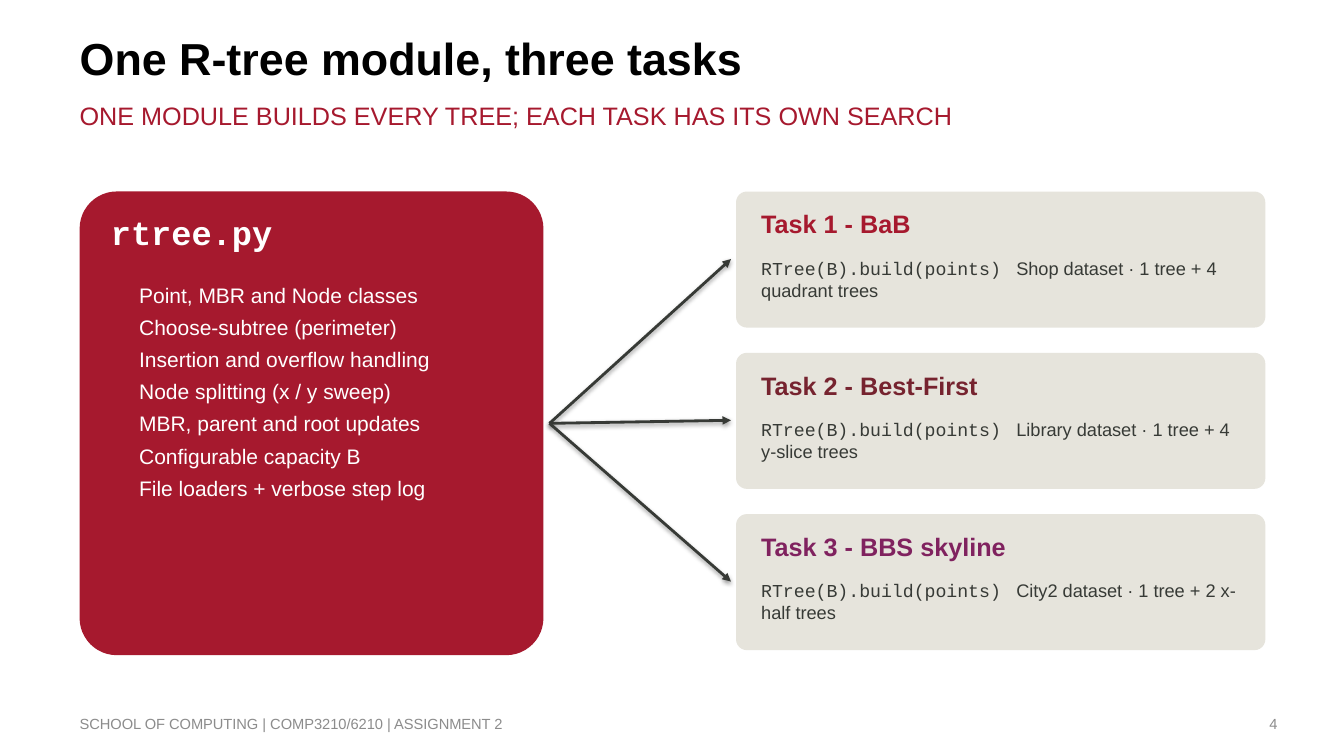
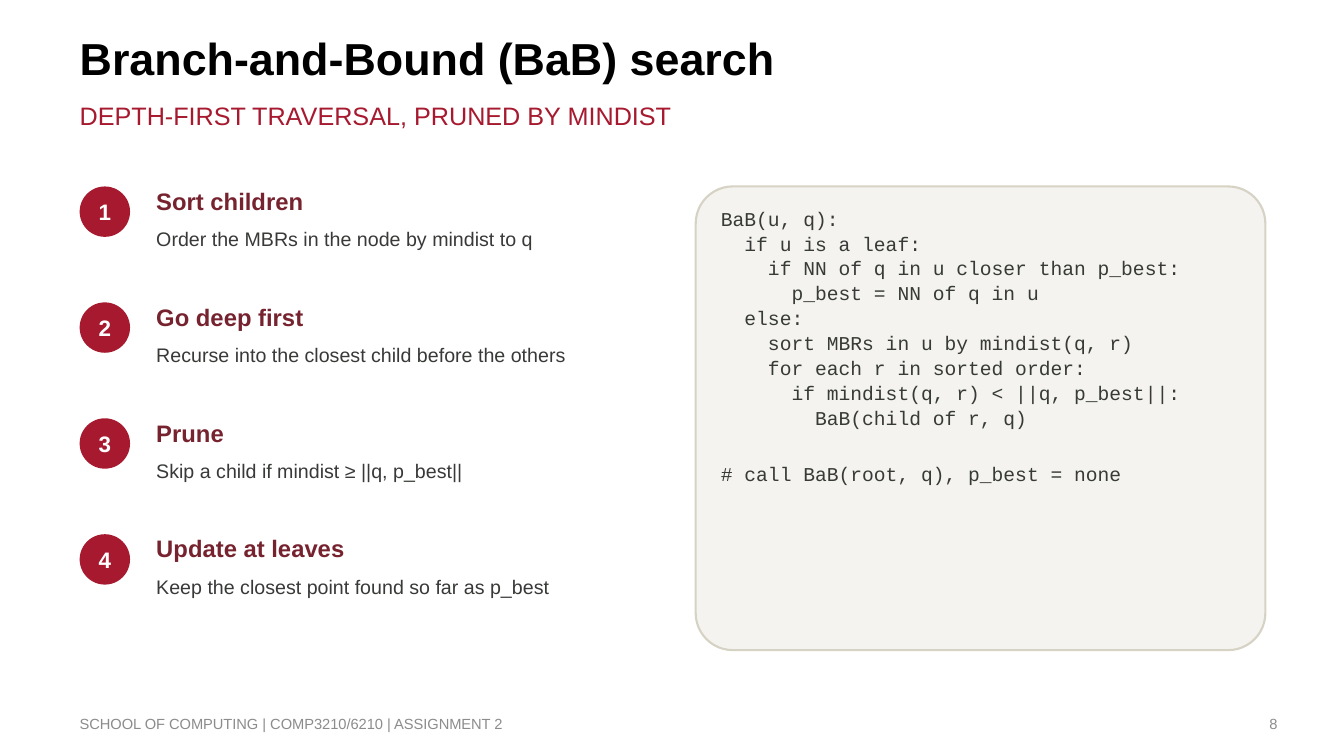
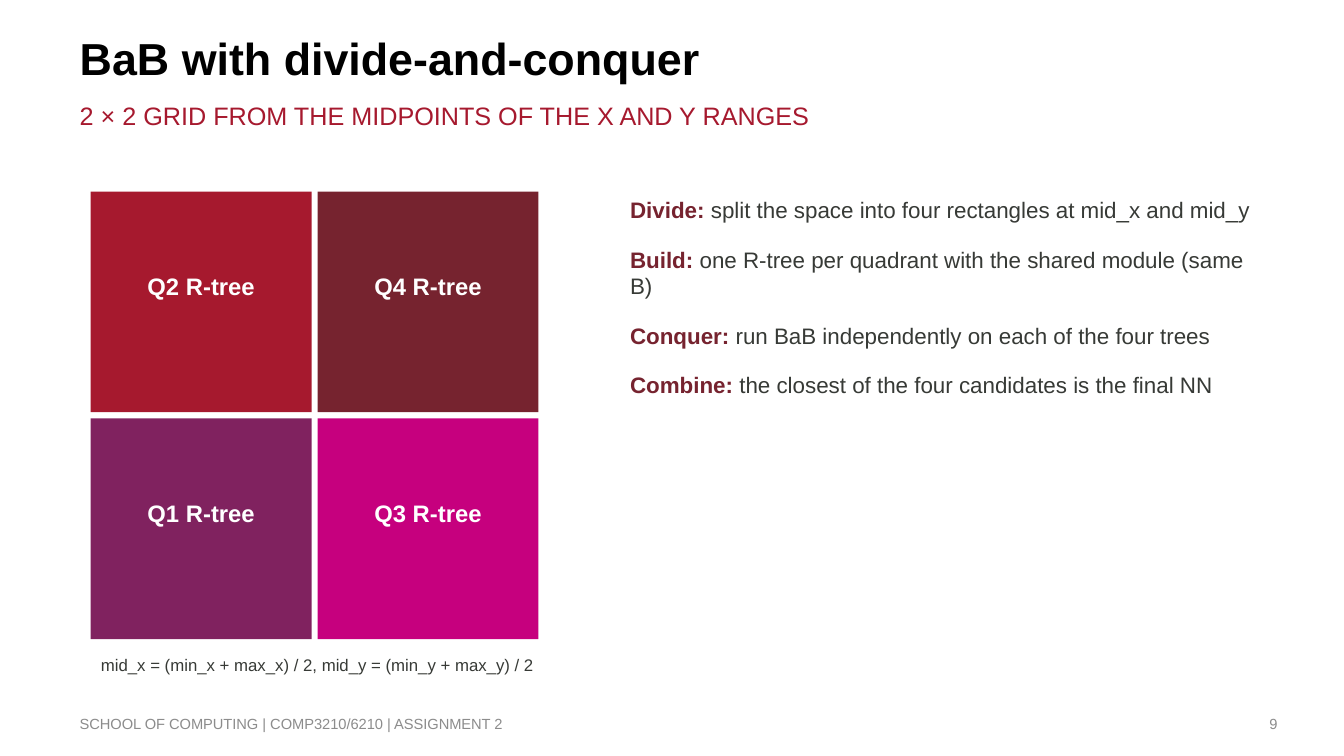
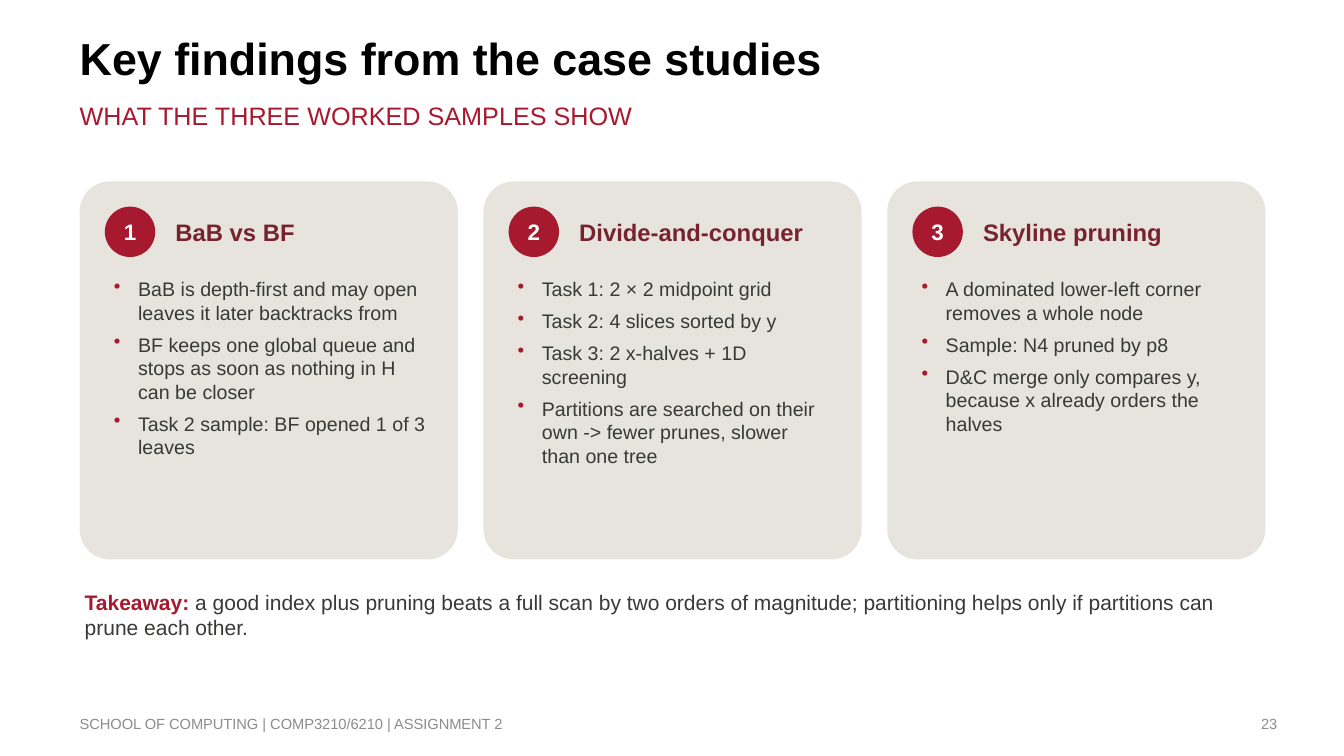
from lxml import etree
from pptx import Presentation
from pptx import util as u
from pptx.dml.color import RGBColor
from pptx.enum import shapes, text
from pptx.oxml.ns import qn

COLORS = {
    "red": "A6192E", "maroon": "76232F", "purple": "80225F", "magenta": "C6007E",
    "sand": "E6E4DC", "paper": "F4F3EF", "edge": "D6D2C4",
    "ink": "373A36", "gray": "8C8C8C", "black": "000000", "white": "FFFFFF",
}
SANS, MONO = "Arial", "Courier New"
LEFT, WIDTH = 0.79, 11.76
ROUND, OVAL = shapes.MSO_SHAPE.ROUNDED_RECTANGLE, shapes.MSO_SHAPE.OVAL
TOP, MIDDLE = text.MSO_ANCHOR.TOP, text.MSO_ANCHOR.MIDDLE
START, CENTER, END = text.PP_ALIGN.LEFT, text.PP_ALIGN.CENTER, text.PP_ALIGN.RIGHT


def add_box(page, at, kind=None, fill=None):
    """Add a text box, or a filled shape when a kind is given."""
    place = [u.Inches(length) for length in at]
    if kind is None:
        return page.shapes.add_textbox(*place)
    box = page.shapes.add_shape(kind, *place)
    box.shadow.inherit = False
    box.fill.solid()
    box.fill.fore_color.rgb = RGBColor.from_string(COLORS[fill])
    box.line.fill.background()
    if kind == ROUND:
        box.adjustments[0] = 0.08
    return box


def write(box, lines, size, color="ink", bold=False, font=SANS, align=START,
          anchor=TOP, inset=0.05, after=6, bullet=False, tab=None):
    """Fill a box; a line is a string or a list of (text, changed style) runs."""
    frame = box.text_frame
    frame.word_wrap = True
    frame.auto_size = text.MSO_AUTO_SIZE.NONE
    frame.vertical_anchor = anchor
    frame.margin_left = frame.margin_right = u.Inches(inset)
    frame.margin_top = frame.margin_bottom = u.Inches(inset)
    for index, line in enumerate(lines):
        para = frame.add_paragraph() if index else frame.paragraphs[0]
        para.alignment = align
        para.space_after = u.Pt(after)
        props = para._p.get_or_add_pPr()
        if bullet:
            props.set("marL", str(u.Inches(0.28)))
            props.set("indent", str(u.Inches(-0.24)))
            tint = etree.SubElement(props, qn("a:buClr"))
            etree.SubElement(tint, qn("a:srgbClr"), val=COLORS["red"])
            etree.SubElement(props, qn("a:buChar"), char="•")
        if tab:
            stops = etree.SubElement(props, qn("a:tabLst"))
            etree.SubElement(stops, qn("a:tab"), pos=str(u.Inches(tab)), algn="l")
        for words, change in ([(line, {})] if isinstance(line, str) else line):
            style = {"color": color, "bold": bold, "font": font} | change
            span = para.add_run()
            span.text = words
            span.font.size = u.Pt(size)
            span.font.name = style["font"]
            span.font.bold = style["bold"]
            span.font.color.rgb = RGBColor.from_string(COLORS[style["color"]])


deck = Presentation()
deck.slide_width, deck.slide_height = u.Inches(13.33), u.Inches(7.5)

# Title, subtitle and footer of every page
headings = [
    ("One R-tree module, three tasks",
     "ONE MODULE BUILDS EVERY TREE; EACH TASK HAS ITS OWN SEARCH", "4"),
    ("Branch-and-Bound (BaB) search", "DEPTH-FIRST TRAVERSAL, PRUNED BY MINDIST", "8"),
    ("BaB with divide-and-conquer",
     "2 × 2 GRID FROM THE MIDPOINTS OF THE X AND Y RANGES", "9"),
    ("Key findings from the case studies", "WHAT THE THREE WORKED SAMPLES SHOW", "23"),
]
pages = []
for heading, subtitle, number in headings:
    page = deck.slides.add_slide(deck.slide_layouts[5])
    title = page.shapes.title
    title.left, title.top = u.Inches(LEFT), u.Inches(0.3)
    title.width, title.height = u.Inches(9.25), u.Inches(0.71)
    write(title, [heading], 32, "black", bold=True, inset=0, after=0)
    write(add_box(page, (LEFT, 0.99, 9.34, 0.49)), [subtitle], 18, "red", inset=0, after=0)
    write(add_box(page, (LEFT, 6.98, 5.88, 0.4)),
          ["SCHOOL OF COMPUTING | COMP3210/6210 | ASSIGNMENT 2"],
          10.5, "gray", anchor=MIDDLE, inset=0, after=0)
    write(add_box(page, (9.56, 6.98, 3.11, 0.4)), [number],
          10.5, "gray", align=END, anchor=MIDDLE, inset=0, after=0)
    pages.append(page)
module_page, search_page, grid_page, findings_page = pages

# One module feeding three tasks
add_box(module_page, (LEFT, 1.9, 4.6, 4.6), ROUND, "red")
write(add_box(module_page, (1.05, 2.05, 4.1, 0.6)), ["rtree.py"], 24, "white",
      bold=True, font=MONO)
features = [
    "Point, MBR and Node classes",
    "Choose-subtree (perimeter)",
    "Insertion and overflow handling",
    "Node splitting (x / y sweep)",
    "MBR, parent and root updates",
    "Configurable capacity B",
    "File loaders + verbose step log",
]
write(add_box(module_page, (1.33, 2.75, 3.82, 3.6)), features, 15, "white", after=5)

tasks = [
    ("Task 1 - BaB", "red", "Shop dataset · 1 tree + 4 quadrant trees"),
    ("Task 2 - Best-First", "maroon", "Library dataset · 1 tree + 4 y-slice trees"),
    ("Task 3 - BBS skyline", "purple", "City2 dataset · 1 tree + 2 x-half trees"),
]
for index, (name, color, dataset) in enumerate(tasks):
    top = 1.9 + index * 1.6
    add_box(module_page, (7.3, top, 5.25, 1.35), ROUND, "sand")
    write(add_box(module_page, (7.5, top + 0.12, 4.9, 0.5)), [name], 18, color, bold=True)
    write(add_box(module_page, (7.5, top + 0.6, 4.9, 0.65)),
          [[("RTree(B).build(points)", {"font": MONO}), ("\t" + dataset, {})]],
          13, tab=2.53)
    arrow = module_page.shapes.add_connector(
        shapes.MSO_CONNECTOR.STRAIGHT,
        u.Inches(5.45), u.Inches(4.2), u.Inches(7.25), u.Inches(top + 0.67))
    arrow.line.width = u.Pt(2)
    arrow.line.color.rgb = RGBColor.from_string(COLORS["ink"])
    etree.SubElement(arrow.line._get_or_add_ln(), qn("a:tailEnd"), type="triangle")

# Search steps beside the pseudocode
steps = [
    ("Sort children", "Order the MBRs in the node by mindist to q"),
    ("Go deep first", "Recurse into the closest child before the others"),
    ("Prune", "Skip a child if mindist ≥ ||q, p_best||"),
    ("Update at leaves", "Keep the closest point found so far as p_best"),
]
for index, (name, detail) in enumerate(steps):
    top = 1.8 + index * 1.15
    write(add_box(search_page, (LEFT, top + 0.05, 0.5, 0.5), OVAL, "red"), [str(index + 1)],
          16, "white", bold=True, align=CENTER, anchor=MIDDLE, inset=0, after=0)
    write(add_box(search_page, (1.5, top, 4.9, 0.4)), [name], 17, "maroon", bold=True)
    write(add_box(search_page, (1.5, top + 0.4, 4.9, 0.6)), [detail], 14)

code_panel = add_box(search_page, (6.9, 1.85, 5.65, 4.6), ROUND, "paper")
code_panel.line.color.rgb = RGBColor.from_string(COLORS["edge"])
code_panel.line.width = u.Pt(1.5)
code = [
    "BaB(u, q):",
    "  if u is a leaf:",
    "    if NN of q in u closer than p_best:",
    "      p_best = NN of q in u",
    "  else:",
    "    sort MBRs in u by mindist(q, r)",
    "    for each r in sorted order:",
    "      if mindist(q, r) < ||q, p_best||:",
    "        BaB(child of r, q)",
    "# call BaB(root, q), p_best = none",
]
code_box = add_box(search_page, (7.1, 2, 5.25, 4.3))
write(code_box, code, 14, font=MONO, after=1)
code_box.text_frame.paragraphs[-1].space_before = u.Pt(22)

# Two by two grid of quadrants
quadrants = [("Q2", "red"), ("Q4", "maroon"), ("Q1", "purple"), ("Q3", "magenta")]
for index, (name, color) in enumerate(quadrants):
    row, column = divmod(index, 2)
    tile = add_box(grid_page, (0.9 + column * 2.25, 1.9 + row * 2.25, 2.19, 2.19),
                   shapes.MSO_SHAPE.RECTANGLE, color)
    write(tile, [name + " R-tree"], 17, "white", bold=True, align=CENTER)
    tile.text_frame.margin_top = u.Inches(0.8)
write(add_box(grid_page, (0.9, 6.45, 4.5, 0.4)),
      ["mid_x = (min_x + max_x) / 2, mid_y = (min_y + max_y) / 2"], 12, align=CENTER)

phases = [
    ("Divide: ", "split the space into four rectangles at mid_x and mid_y"),
    ("Build: ", "one R-tree per quadrant with the shared module (same B)"),
    ("Conquer: ", "run BaB independently on each of the four trees"),
    ("Combine: ", "the closest of the four candidates is the final NN"),
]
write(add_box(grid_page, (6.2, 1.9, 6.3, 4.6)),
      [[(phase, {"color": "maroon", "bold": True}), (detail, {})] for phase, detail in phases],
      16, after=16)

# Three finding cards and the takeaway
findings = [
    ("BaB vs BF", [
        "BaB is depth-first and may open leaves it later backtracks from",
        "BF keeps one global queue and stops as soon as nothing in H can be closer",
        "Task 2 sample: BF opened 1 of 3 leaves",
    ]),
    ("Divide-and-conquer", [
        "Task 1: 2 × 2 midpoint grid",
        "Task 2: 4 slices sorted by y",
        "Task 3: 2 x-halves + 1D screening",
        "Partitions are searched on their own -> fewer prunes, slower than one tree",
    ]),
    ("Skyline pruning", [
        "A dominated lower-left corner removes a whole node",
        "Sample: N4 pruned by p8",
        "D&C merge only compares y, because x already orders the halves",
    ]),
]
card = 3.75
pitch = (WIDTH - card) / (len(findings) - 1)
for index, (name, points) in enumerate(findings):
    left = LEFT + index * pitch
    add_box(findings_page, (left, 1.8, card, card), ROUND, "sand")
    write(add_box(findings_page, (left + 0.25, 2.05, 0.5, 0.5), OVAL, "red"), [str(index + 1)],
          16, "white", bold=True, align=CENTER, anchor=MIDDLE, inset=0, after=0)
    write(add_box(findings_page, (left + 0.9, 2.05, 2.65, 0.5)), [name], 17, "maroon",
          bold=True, anchor=MIDDLE)
    write(add_box(findings_page, (left + 0.25, 2.7, 3.25, 2.7)), points, 14, bullet=True)
write(add_box(findings_page, (LEFT, 5.8, WIDTH, 0.8)),
      [[("Takeaway: ", {"color": "red", "bold": True}),
        ("a good index plus pruning beats a full scan by two orders of magnitude; "
         "partitioning helps only if partitions can prune each other.", {})]], 15)

deck.save("out.pptx")
